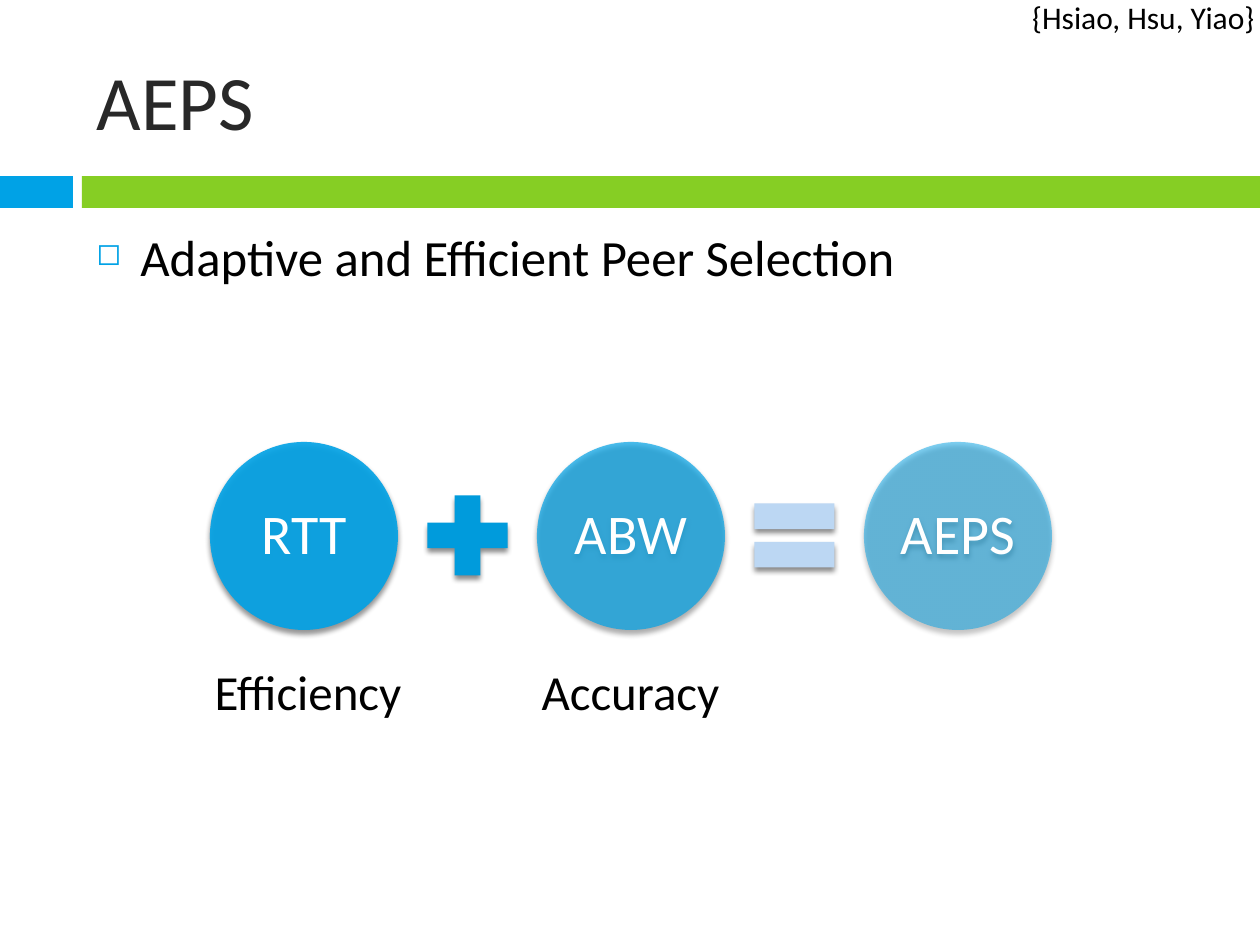
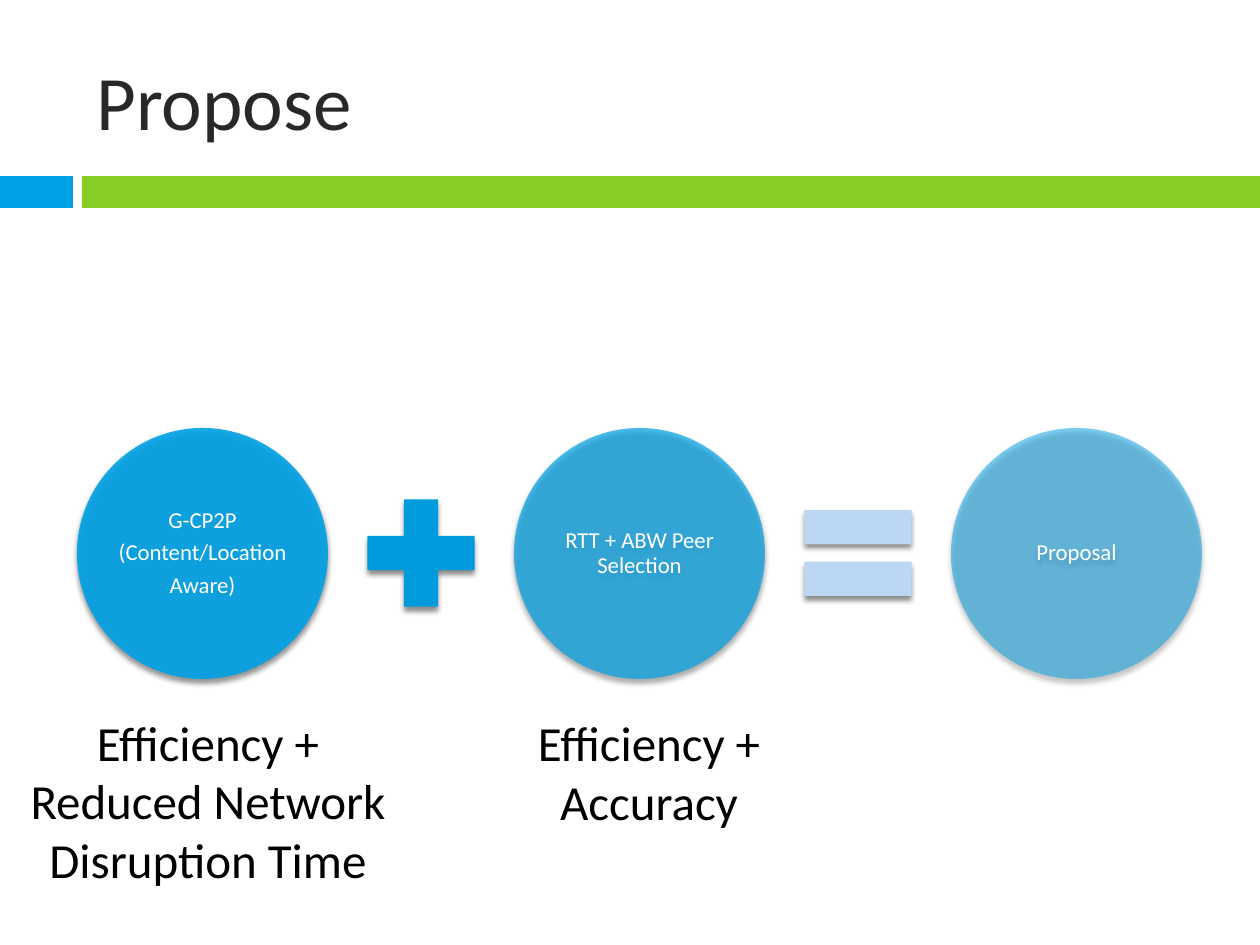
from lxml.etree import SubElement as Sub
from pptx import Presentation
from pptx.dml.color import RGBColor as RGB
from pptx.enum.shapes import MSO_SHAPE as Kind
from pptx.enum.text import MSO_ANCHOR as Anchor, MSO_AUTO_SIZE as Auto, PP_ALIGN as Align
from pptx.oxml.ns import qn
from pptx.util import Pt

SCALE = 914400 / 126  # EMU in one px
WIDE, HIGH = 1260, 945

BLUE = RGB(0x00, 0xA2, 0xE6)
GREEN = RGB(0x86, 0xCE, 0x24)
PLUS = RGB(0x00, 0x9B, 0xDC)
EQUAL = RGB(0xBC, 0xD7, 0xF3)
DARK = RGB(0x28, 0x28, 0x28)
BLACK = RGB(0x00, 0x00, 0x00)
WHITE = RGB(0xFF, 0xFF, 0xFF)


def emu(px):
    return round(px * SCALE)


def node(parent, tag, **attrs):
    return Sub(parent, qn(tag), {key: str(val) for key, val in attrs.items()})


def apply(target, values):
    for name, value in values.items():
        setattr(target, name, value)


class Deck:
    FONT = "Calibri"
    FADES = (90, 70, 50)  # opacity of the circles, in percent

    def __init__(self):
        self.prs = Presentation()
        apply(self.prs, {"slide_width": emu(WIDE), "slide_height": emu(HIGH)})
        self.slide = None

    def page(self, title):
        self.slide = self.prs.slides.add_slide(self.prs.slide_layouts[5])
        self.band(0, 73, BLUE)
        self.band(82, WIDE - 82, GREEN)
        head = self.slide.shapes.title
        box = {"left": 84, "top": 32, "width": 1124, "height": 136}
        apply(head, {side: emu(px) for side, px in box.items()})
        apply(head.text_frame, {"vertical_anchor": Anchor.MIDDLE, "auto_size": Auto.NONE})
        self.fill_text(head.text_frame, [title], 44, DARK, {"alignment": Align.LEFT})

    def fill_text(self, frame, lines, size, color, form):
        frame.text = "\n".join(lines)
        for par in frame.paragraphs:
            apply(par, form)
            for run in par.runs:
                apply(run.font, {"name": self.FONT, "size": Pt(size)})
                run.font.color.rgb = color

    def shape(self, kind, box, color):
        item = self.slide.shapes.add_shape(kind, *map(emu, box))
        item.fill.solid()
        item.fill.fore_color.rgb = color
        item.line.fill.background()
        item.shadow.inherit = False
        return item

    def band(self, left, width, color):
        self.shape(Kind.RECTANGLE, (left, 176, width, 32), color)

    def raised(self, kind, box, color):
        """A shape with a soft shadow below it."""
        item = self.shape(kind, box, color)
        effects = item.element.spPr.find(qn("a:effectLst"))
        shade = node(effects, "a:outerShdw", blurRad=Pt(3), dist=Pt(2.4),
                     dir=5400000, rotWithShape=0)
        node(node(shade, "a:srgbClr", val=BLACK), "a:alpha", val=45000)
        return item

    def circle(self, box, lines, size, inset, fade):
        item = self.raised(Kind.OVAL, box, BLUE)
        tint = item.element.spPr.find(qn("a:solidFill"))[0]
        node(tint, "a:alpha", val=fade * 1000)
        sides = ("left", "top", "right", "bottom")
        apply(item.text_frame, {f"margin_{side}": emu(inset) for side in sides})
        apply(item.text_frame, {"word_wrap": True, "vertical_anchor": Anchor.MIDDLE})
        self.fill_text(item.text_frame, lines, size, WHITE, {
            "alignment": Align.CENTER, "line_spacing": 0.9, "space_after": Pt(size * 0.35)})

    def sum(self, left, top, size, terms, font, inset):
        """Circle plus circle equals circle; signs and gaps scale with the circles."""
        sign, gap = round(size * 0.58), round(size * 0.08)
        step = size + sign + 2 * gap
        for i, (term, fade) in enumerate(zip(terms, self.FADES)):
            self.circle((left + i * step, top, size, size), term, font, inset, fade)
        signs = ((Kind.MATH_PLUS, PLUS), (Kind.MATH_EQUAL, EQUAL))
        for i, (kind, color) in enumerate(signs):
            x = left + i * step + size + gap
            self.raised(kind, (x, top + (size - sign) // 2, sign, sign), color)

    def label(self, box, lines, size=28, align=Align.CENTER):
        item = self.slide.shapes.add_textbox(*map(emu, box))
        apply(item.text_frame, {"word_wrap": False, "auto_size": Auto.SHAPE_TO_FIT_TEXT})
        self.fill_text(item.text_frame, lines, size, BLACK, {"alignment": align})

    def bullet(self, box, line):
        item = self.slide.shapes.add_textbox(*map(emu, box))
        item.text_frame.word_wrap = True
        self.fill_text(item.text_frame, [line], 29, BLACK, {"space_before": Pt(7)})
        props = item.text_frame.paragraphs[0]._p.get_or_add_pPr()
        props.set("marL", str(emu(44)))
        props.set("indent", str(emu(-44)))
        node(node(props, "a:buClr"), "a:srgbClr", val=BLUE)
        node(props, "a:buSzPct", val=60000)
        node(props, "a:buChar", char="◻")


def main():
    deck = Deck()

    # Peer selection from two measures
    deck.page("AEPS")
    deck.bullet((84, 220, 1124, 620), "Adaptive and Efficient Peer Selection")
    deck.sum(210, 442, 188, (["RTT"], ["ABW"], ["AEPS"]), 32, 5)
    deck.label((202, 655, 212, 72), ["Efficiency"])
    deck.label((529, 655, 203, 72), ["Accuracy"])
    deck.label((1018, -8, 249, 50), ["{Hsiao, Hsu, Yiao}"], 18, Align.RIGHT)

    # Proposal
    deck.page("Propose")
    deck.sum(77, 428, 251, (["G-CP2P", "(Content/Location", "Aware)"],
                            ["RTT + ABW Peer Selection"], ["Proposal"]), 13, 3)
    deck.label((14, 706, 388, 190),
               ["Efficiency +", "Reduced Network", "Disruption Time"])
    deck.label((520, 706, 258, 131), ["Efficiency +", "Accuracy"])

    deck.prs.save("out.pptx")


if __name__ == "__main__":
    main()
